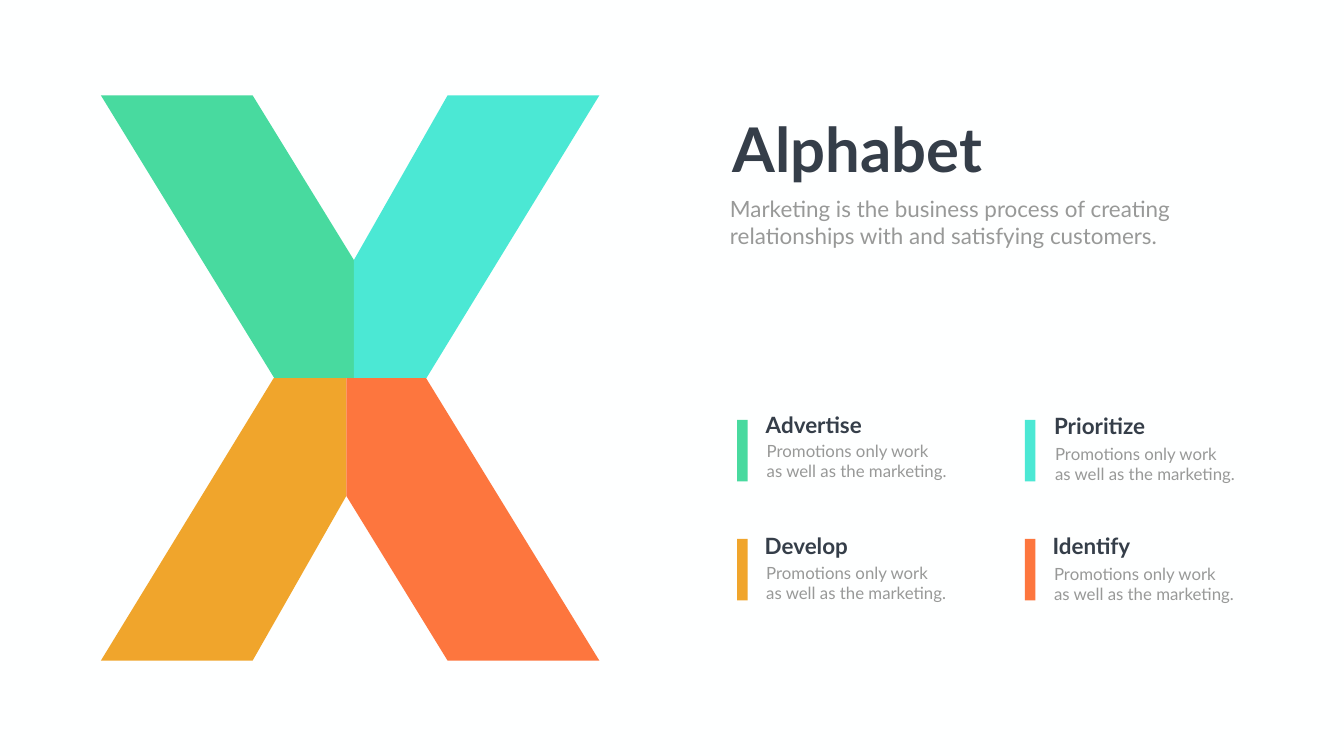
import pptx
import pptx.util
import pptx.dml.color
import pptx.enum.shapes
import pptx.enum.text
import pptx.oxml.ns
import lxml.etree

RGBColor = pptx.dml.color.RGBColor
PX = 9144
FONT = "Lato"
BACKGROUND = RGBColor(0xFE, 0xFF, 0xFF)
GREEN = RGBColor(0x48, 0xDA, 0x9F)
TURQUOISE = RGBColor(0x4B, 0xE8, 0xD4)
AMBER = RGBColor(0xF0, 0xA5, 0x2C)
ORANGE = RGBColor(0xFD, 0x76, 0x3E)
DARK = RGBColor(0x35, 0x3E, 0x49)
GREY = RGBColor(0x98, 0x99, 0x98)

UPPER_LEFT_ARM = [(0, 0), (301, 0), (502, 327), (502, 561), (344, 561)]
UPPER_RIGHT_ARM = [(502, 327), (688, 0), (989, 0), (646, 561), (502, 561)]

INTRO = ("Marketing is the business process of creating\n"
         "relationships with and satisfying customers.")
NOTE = "Promotions only work\nas well as the marketing."
ITEMS = [
    ("Advertise", GREEN, (47, -23), (49, 37)),
    ("Prioritize", TURQUOISE, (48, -20), (50, 42)),
    ("Develop", AMBER, (45, -18), (48, 42)),
    ("Identify", ORANGE, (45, -18), (48, 44)),
]


def paint(shape, color):
    shape.shadow.inherit = False
    shape.fill.solid()
    shape.fill.fore_color.rgb = color
    shape.line.fill.background()


def place(shape, left, top, width, height):
    shape.left, shape.top = left * PX, top * PX
    shape.width, shape.height = width * PX, height * PX


def write(shape, text, size, color, bold=False, wrap=True):
    frame = shape.text_frame
    frame.text = text
    frame.auto_size = pptx.enum.text.MSO_AUTO_SIZE.NONE
    frame.word_wrap = wrap
    for para in frame.paragraphs:
        para.space_before = pptx.util.Pt(0)
        for span in para.runs:
            span.font.name = FONT
            span.font.size = pptx.util.Pt(size)
            span.font.bold = bold
            span.font.color.rgb = color


def add_text(page, box, text, size, color, bold=False):
    shape = page.shapes.add_textbox(*(length * PX for length in box))
    write(shape, text, size, color, bold)


def remove_bullets(shape):
    for para in shape.text_frame.paragraphs:
        properties = para._p.get_or_add_pPr()
        properties.set("marL", "0")
        properties.set("indent", "0")
        lxml.etree.SubElement(properties, pptx.oxml.ns.qn("a:buNone"))


def add_letter(page, left, top, width, height):
    def half_turn(points):
        return [(width - x, height - y) for x, y in points]

    arms = [
        (UPPER_LEFT_ARM, GREEN),
        (UPPER_RIGHT_ARM, TURQUOISE),
        (half_turn(UPPER_RIGHT_ARM), AMBER),
        (half_turn(UPPER_LEFT_ARM), ORANGE),
    ]
    for points, color in arms:
        corners = [(left + x, top + y) for x, y in points]
        builder = page.shapes.build_freeform(*corners[0], scale=PX)
        builder.add_line_segments(corners[1:], close=True)
        paint(builder.convert_to_shape(), color)


def add_heading(page, left, top, width, height):
    title = page.shapes.title
    place(title, left, top, 525, 158)
    write(title, "Alphabet", 88, DARK, bold=True, wrap=False)
    title.text_frame.paragraphs[0].alignment = pptx.enum.text.PP_ALIGN.CENTER
    body = page.placeholders[1]
    place(body, left, top + height - 118, width, 118)
    write(body, INTRO, 32, GREY)
    remove_bullets(body)


def add_item(page, left, top, width, height, item):
    name, color, name_offset, note_offset = item
    bar = page.shapes.add_shape(
        pptx.enum.shapes.MSO_SHAPE.RECTANGLE,
        left * PX, top * PX, width * PX, height * PX)
    paint(bar, color)
    name_box = (left + name_offset[0], top + name_offset[1], 221, 64)
    note_box = (left + note_offset[0], top + note_offset[1], 382, 91)
    add_text(page, name_box, name, 32, DARK, bold=True)
    add_text(page, note_box, NOTE, 24, GREY)


def add_items(page, left, top, column_step, row_step):
    for index, item in enumerate(ITEMS):
        row, column = divmod(index, 2)
        add_item(page, left + column * column_step, top + row * row_step,
                 21, 122, item)


def main():
    deck = pptx.Presentation()
    deck.slide_width = 2666 * PX
    deck.slide_height = 1500 * PX
    page = deck.slides.add_slide(deck.slide_layouts[1])
    page.background.fill.solid()
    page.background.fill.fore_color.rgb = BACKGROUND
    add_letter(page, 200, 189, 989, 1122)
    add_heading(page, 1438, 215, 908, 286)
    add_items(page, 1462, 833, 571, 236)
    deck.save("out.pptx")


if __name__ == "__main__":
    main()
